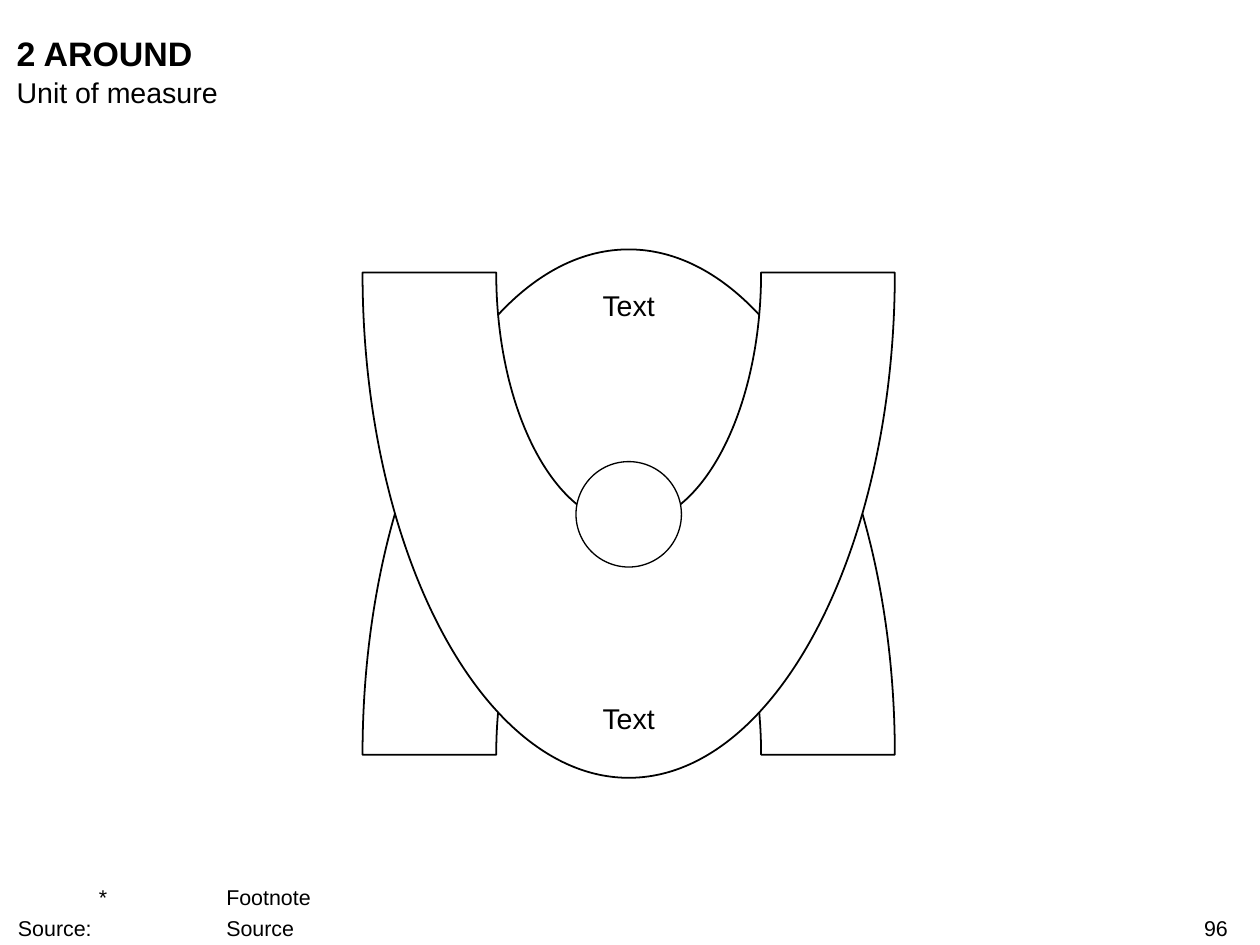
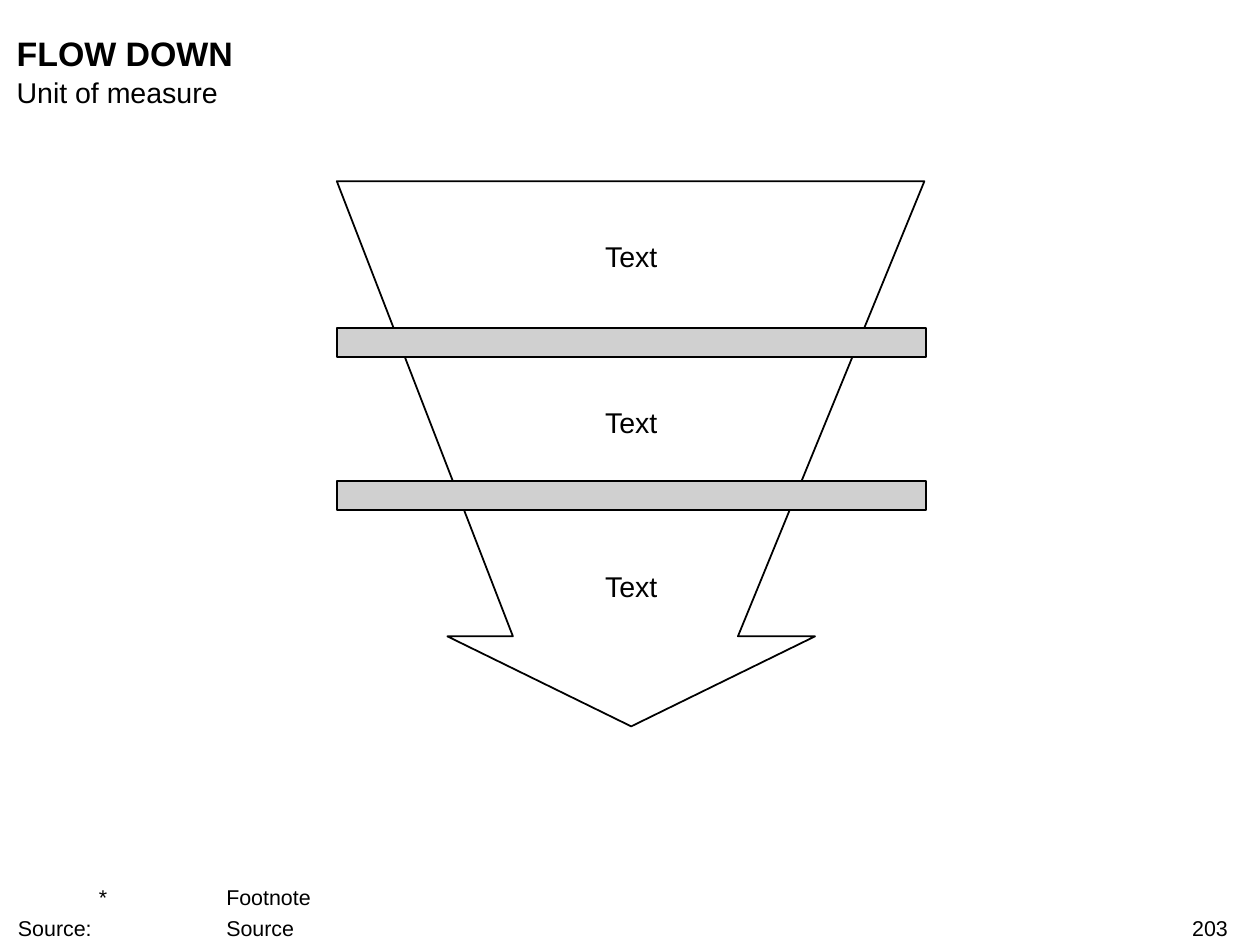
from pptx import Presentation
from pptx.dml.color import RGBColor
from pptx.enum.shapes import MSO_SHAPE as SHAPE
from pptx.enum.text import MSO_ANCHOR as ANCHOR, MSO_AUTO_SIZE as FIT, PP_ALIGN as ALIGN
from pptx.oxml.ns import qn
from pptx.util import Inches, Pt

FONT = "Arial"
BLACK, WHITE, GRAY = "000000", "FFFFFF", "D0D0D0"
SUBTITLE = "Unit of measure"
FOOTNOTES = ["\t*\tFootnote", "Source:\t\tSource"]
FOOTNOTE_TABS = [0.63, 1.62]

CENTER_X = 4.89
ARCHES = [(5.87, -1), (2.12, 1)]
INNER, OUTER = (1.03, 1.96), (2.07, 3.93)
QUARTER = 0.55
HUB = (4.48, 3.59, 0.82, 0.82)
AROUND_LABELS = [("Text", (3.81, 5.45, 2.16, 0.27)), ("Text", (3.81, 2.24, 2.16, 0.27))]

FUNNEL = [(3.99, 4.95), (3.48, 4.95), (4.91, 5.65), (6.34, 4.95),
          (5.74, 4.95), (7.19, 1.41), (2.62, 1.41)]
BARS = [(2.62, top, 4.58, 0.23) for top in (3.74, 2.55)]
FLOW_LABELS = [("Text", (3.1, 1.86, 3.62, 0.27)), ("Text", (3.62, 3.15, 2.58, 0.27)),
               ("Text", (4.09, 4.42, 1.64, 0.27))]


def rgb(color):
    return RGBColor.from_string(color)


def inches(values):
    return [Inches(v) for v in values]


def place(sp, box):
    sp.left, sp.top, sp.width, sp.height = inches(box)


def write(sp, lines, size, bold=False, align=ALIGN.LEFT, anchor=ANCHOR.TOP):
    tf = sp.text_frame
    tf.text = "\n".join(lines)
    tf.word_wrap = True
    tf.auto_size = FIT.SHAPE_TO_FIT_TEXT
    tf.vertical_anchor = anchor
    tf.margin_left = tf.margin_right = tf.margin_top = tf.margin_bottom = 0
    for p in tf.paragraphs:
        p.alignment = align
        for r in p.runs:
            r.font.name, r.font.size, r.font.bold = FONT, Pt(size), bold
            r.font.color.rgb = rgb(BLACK)


def text(s, box, lines, size, **style):
    sp = s.shapes.add_textbox(*inches(box))
    write(sp, lines, size, **style)
    return sp


def outline(sp, fill=WHITE, width=1):
    sp.shadow.inherit = False
    sp.fill.solid()
    sp.fill.fore_color.rgb = rgb(fill)
    sp.line.color.rgb = rgb(BLACK)
    sp.line.width = Pt(width)


def polygon(shapes, points):
    start, *rest = [tuple(inches(pt)) for pt in points]
    builder = shapes.build_freeform(*start)
    builder.add_line_segments(rest, close=True)
    sp = builder.convert_to_shape()
    outline(sp)
    return sp


def curve(segment, start, corner):
    end = segment[0]
    segment.tag = qn("a:cubicBezTo")
    for i, (x, y) in enumerate((start, (int(end.get("x")), int(end.get("y"))))):
        control = end.makeelement(qn("a:pt"), {
            "x": str(round(x + QUARTER * (corner[0] - x))),
            "y": str(round(y + QUARTER * (corner[1] - y)))})
        segment.insert(i, control)


def arch(s, base, direction):
    (rx, ry), (big_rx, big_ry) = INNER, OUTER
    sp = polygon(s.shapes, [
        (CENTER_X - rx, base), (CENTER_X, base + direction * ry), (CENTER_X + rx, base),
        (CENTER_X + big_rx, base), (CENTER_X, base + direction * big_ry),
        (CENTER_X - big_rx, base)])
    move = next(sp._element.iter(qn("a:moveTo")))
    segments = [move, *sp._element.iter(qn("a:lnTo"))]
    ends = [(int(seg[0].get("x")), int(seg[0].get("y"))) for seg in segments]
    for side, top in ((0, 1), (2, 1), (3, 4), (5, 4)):
        last = max(side, top)
        curve(segments[last], ends[last - 1], (ends[side][0], ends[top][1]))


def labels(s, items):
    for label, box in items:
        text(s, box, [label], 16, align=ALIGN.CENTER, anchor=ANCHOR.MIDDLE)


def add_footnotes(s):
    sp = text(s, (0.14, 6.88, 8.93, 0.44), FOOTNOTES, 12, anchor=ANCHOR.BOTTOM)
    for p in sp.text_frame.paragraphs:
        tabs = p._p.get_or_add_pPr().makeelement(qn("a:tabLst"), {})
        p._p.pPr.append(tabs)
        for pos in FOOTNOTE_TABS:
            tabs.append(tabs.makeelement(qn("a:tab"), {"pos": str(Inches(pos)), "algn": "l"}))
    sp.text_frame.paragraphs[1].space_before = Pt(3)


def add_slide(prs, title, number):
    s = prs.slides.add_slide(prs.slide_layouts[5])
    place(s.shapes.title, (0.13, 0.25, 9.43, 0.32))
    write(s.shapes.title, [title], 19, bold=True)
    text(s, (0.13, 0.58, 9.43, 0.27), [SUBTITLE], 16)
    text(s, (7.51, 7.12, 2.04, 0.2), [number], 12, align=ALIGN.RIGHT)
    add_footnotes(s)
    return s


def around_slide(prs):
    s = add_slide(prs, "2 AROUND", "96")
    for base, direction in ARCHES:
        arch(s, base, direction)
    outline(s.shapes.add_shape(SHAPE.OVAL, *inches(HUB)), width=0.75)
    labels(s, AROUND_LABELS)


def flow_slide(prs):
    s = add_slide(prs, "FLOW DOWN", "203")
    group = s.shapes.add_group_shape()
    polygon(group.shapes, FUNNEL)
    for bar in BARS:
        outline(group.shapes.add_shape(SHAPE.RECTANGLE, *inches(bar)), fill=GRAY)
    labels(s, FLOW_LABELS)


def main():
    prs = Presentation()
    prs.slide_width, prs.slide_height = Inches(9.8), Inches(7.35)
    around_slide(prs)
    flow_slide(prs)
    prs.save("out.pptx")


if __name__ == "__main__":
    main()
